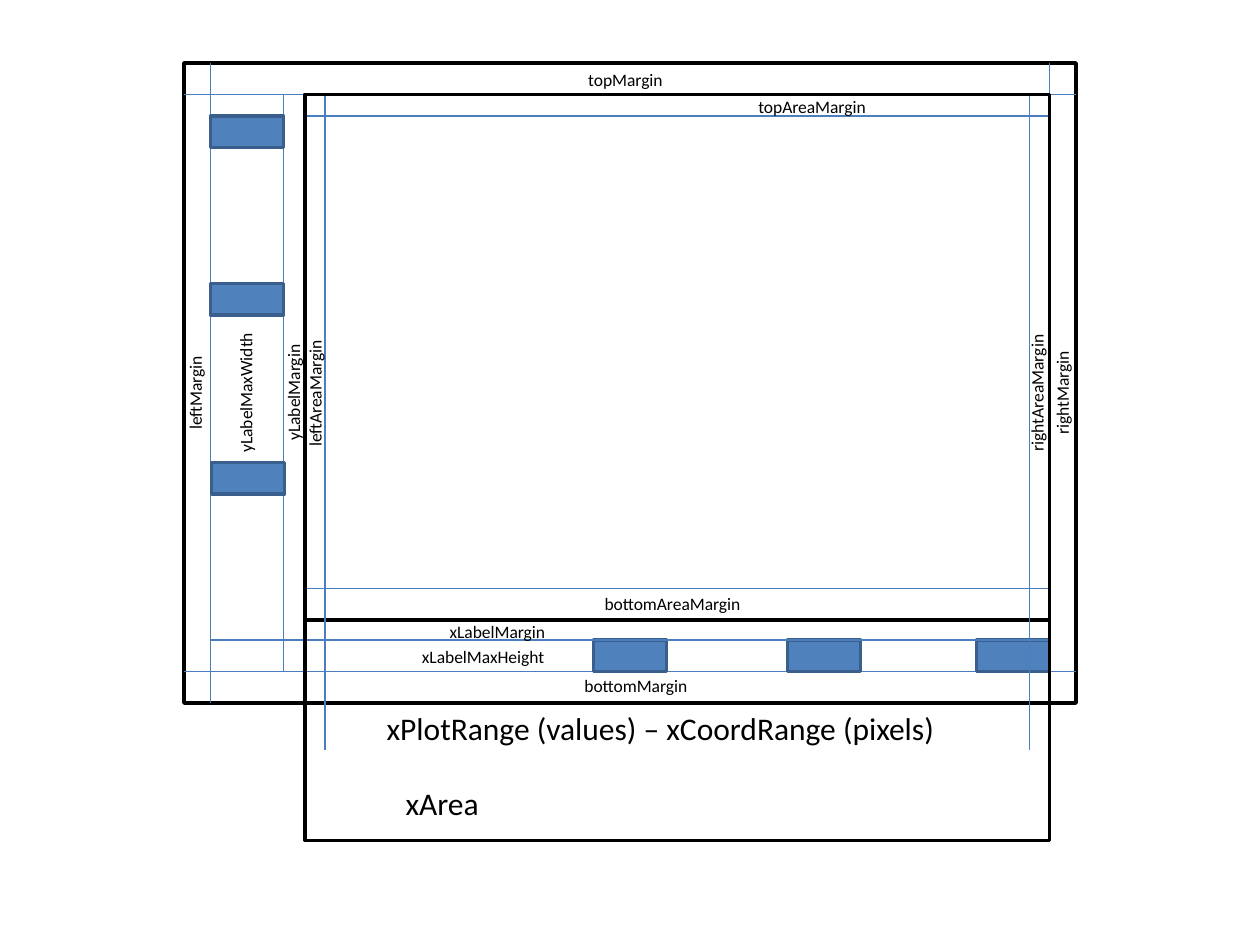
"""Build a slide that names the margins and areas of a chart layout."""
import pptx
import pptx.dml.color
import pptx.enum.shapes
import pptx.enum.text
import pptx.oxml.ns
import pptx.util
from lxml import etree

Inches = pptx.util.Inches

LEFT, TOP, RIGHT, BOTTOM = 1.46, 0.5, 8.54, 5.58
LABEL_LEFT, LABEL_RIGHT = 1.67, 2.25
AREA_LEFT, AREA_TOP, AREA_RIGHT, AREA_BOTTOM = 2.42, 0.75, 8.33, 4.92
LABEL_TOP, LABEL_BOTTOM = 5.08, 5.33
PLOT_LEFT, PLOT_TOP, PLOT_RIGHT, PLOT_BOTTOM = 2.58, 0.92, 8.17, 4.67
GUIDE_END = 5.95
LABEL_W, LABEL_H = 0.58, 0.25
TEXT_H = 0.27
SIDE_MIDDLE = 3.11


def color(value):
    """Return the RGB colour of a hex string."""
    return pptx.dml.color.RGBColor.from_string(value)


def add_rect(s, left, top, width, height, line, fill=None):
    """Add a rectangle, hollow unless a fill is given."""
    sp = s.shapes.add_shape(pptx.enum.shapes.MSO_SHAPE.RECTANGLE,
                            Inches(left), Inches(top), Inches(width), Inches(height))
    sp.shadow.inherit = False
    if fill:
        sp.fill.solid()
        sp.fill.fore_color.rgb = color(fill)
    else:
        sp.fill.background()
    sp.line.color.rgb = color(line)
    sp.line.width = pptx.util.Pt(2)


def add_frame(s, left, top, right, bottom):
    """Add a black outline given by its edges."""
    add_rect(s, left, top, right - left, bottom - top, "000000")


def add_label_box(s, left, top):
    """Add a blue box that stands for an axis label."""
    add_rect(s, left, top, LABEL_W, LABEL_H, "3A5F8C", "4F81BD")


def add_guide(s, x1, y1, x2, y2):
    """Add a thin blue guide line."""
    cxn = s.shapes.add_connector(pptx.enum.shapes.MSO_CONNECTOR.STRAIGHT,
                                 Inches(x1), Inches(y1), Inches(x2), Inches(y2))
    cxn.line.color.rgb = color("4B7EBC")
    cxn.line.width = pptx.util.Pt(0.75)
    etree.SubElement(cxn._element.spPr, pptx.oxml.ns.qn("a:effectLst"))


def add_text(s, text, left, top, width, height=TEXT_H, size=10, rotation=0):
    """Add a one-line text box."""
    sp = s.shapes.add_textbox(Inches(left), Inches(top), Inches(width), Inches(height))
    sp.rotation = rotation
    tf = sp.text_frame
    tf.word_wrap = False
    tf.auto_size = pptx.enum.text.MSO_AUTO_SIZE.SHAPE_TO_FIT_TEXT
    p = tf.paragraphs[0]
    p.text = text
    p.font.name = "Calibri"
    p.font.size = pptx.util.Pt(size)
    p.font.color.rgb = color("000000")


def add_side_text(s, text, center, width):
    """Add a text that reads upwards, centred on a column."""
    add_text(s, text, center - width / 2, SIDE_MIDDLE - TEXT_H / 2, width, rotation=270)


def add_layout(s):
    """Add the frames, guides and label boxes."""
    add_frame(s, LEFT, TOP, RIGHT, BOTTOM)
    for x in (LABEL_LEFT, AREA_RIGHT):
        add_guide(s, x, TOP, x, BOTTOM)
    for y in (LABEL_BOTTOM, AREA_TOP):
        add_guide(s, LEFT, y, RIGHT, y)
    add_guide(s, LABEL_RIGHT, AREA_TOP, LABEL_RIGHT, LABEL_BOTTOM)
    for left in (7.75, 6.25, 4.71):
        add_label_box(s, left, LABEL_TOP)
    for left, top in ((1.67, 0.92), (1.67, 2.25), (1.68, 3.67)):
        add_label_box(s, left, top)
    add_guide(s, AREA_RIGHT, LABEL_TOP, LABEL_LEFT, LABEL_TOP)
    add_frame(s, AREA_LEFT, AREA_TOP, AREA_RIGHT, AREA_BOTTOM)
    for x in (PLOT_LEFT, PLOT_RIGHT):
        add_guide(s, x, AREA_TOP, x, GUIDE_END)
    for y in (PLOT_TOP, PLOT_BOTTOM):
        add_guide(s, AREA_LEFT, y, AREA_RIGHT, y)
    add_frame(s, AREA_LEFT, AREA_TOP, AREA_RIGHT, 6.67)


def add_names(s):
    """Add the names of the margins and ranges."""
    for text, left, top, width in (
        ("topMargin", 4.57, 0.5, 0.8),
        ("bottomMargin", 4.54, 5.31, 1.04),
        ("xLabelMaxHeight", 3.25, 5.08, 1.19),
        ("xLabelMargin", 3.47, 4.88, 0.97),
        ("bottomAreaMargin", 4.7, 4.66, 1.3),
        ("topAreaMargin", 5.92, 0.71, 1.07),
    ):
        add_text(s, text, left, top, width)
    for text, center, width in (
        ("leftMargin", 1.55, 0.8),
        ("yLabelMaxWidth", 1.95, 1.16),
        ("yLabelMargin", 2.33, 0.97),
        ("leftAreaMargin", 2.5, 1.07),
        ("rightAreaMargin", 8.23, 1.14),
        ("rightMargin", 8.43, 0.88),
    ):
        add_side_text(s, text, center, width)
    add_text(s, "xPlotRange (values) – xCoordRange (pixels)", 2.97, 5.58, 4.6, 0.4, 18)
    add_text(s, "xArea", 3.12, 6.17, 0.79, 0.4, 18)


def main():
    """Build and save the slide."""
    prs = pptx.Presentation()
    prs.slide_width, prs.slide_height = Inches(10), Inches(7.5)
    s = prs.slides.add_slide(prs.slide_layouts[6])
    add_layout(s)
    add_names(s)
    prs.save("out.pptx")


if __name__ == "__main__":
    main()
